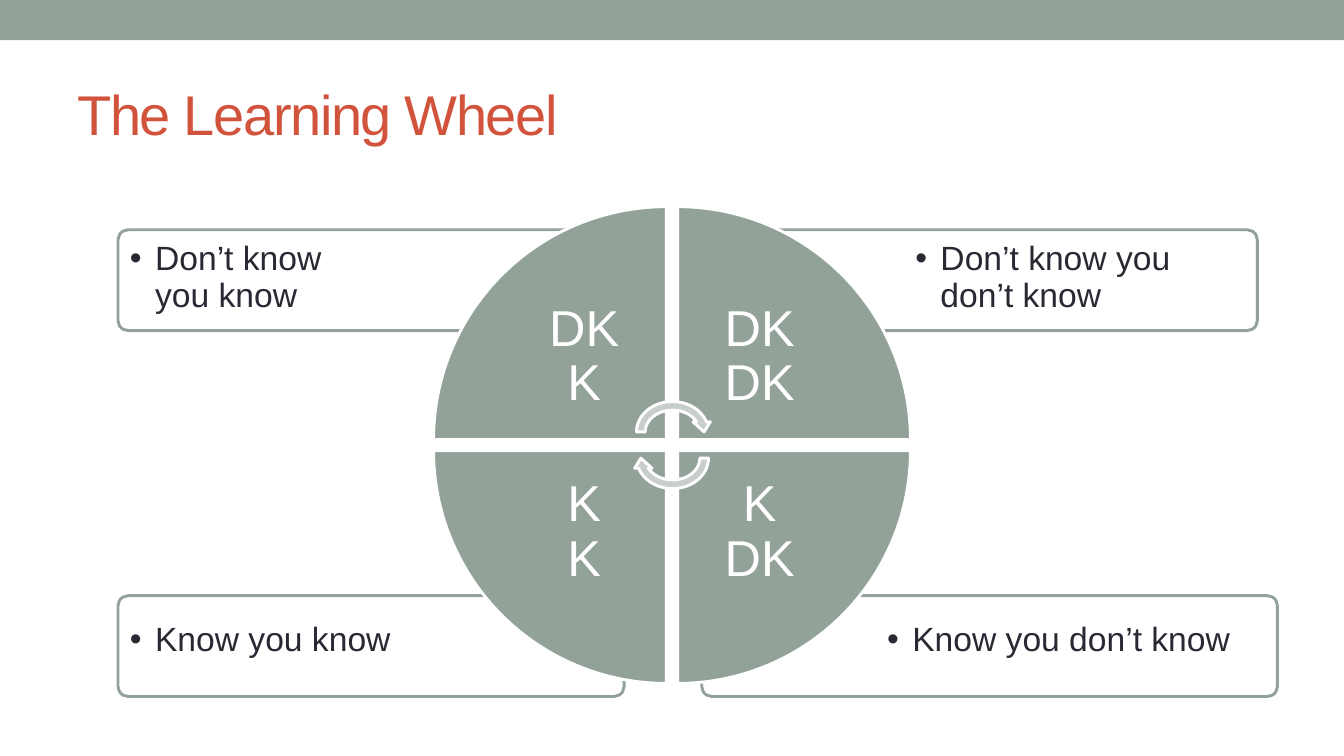
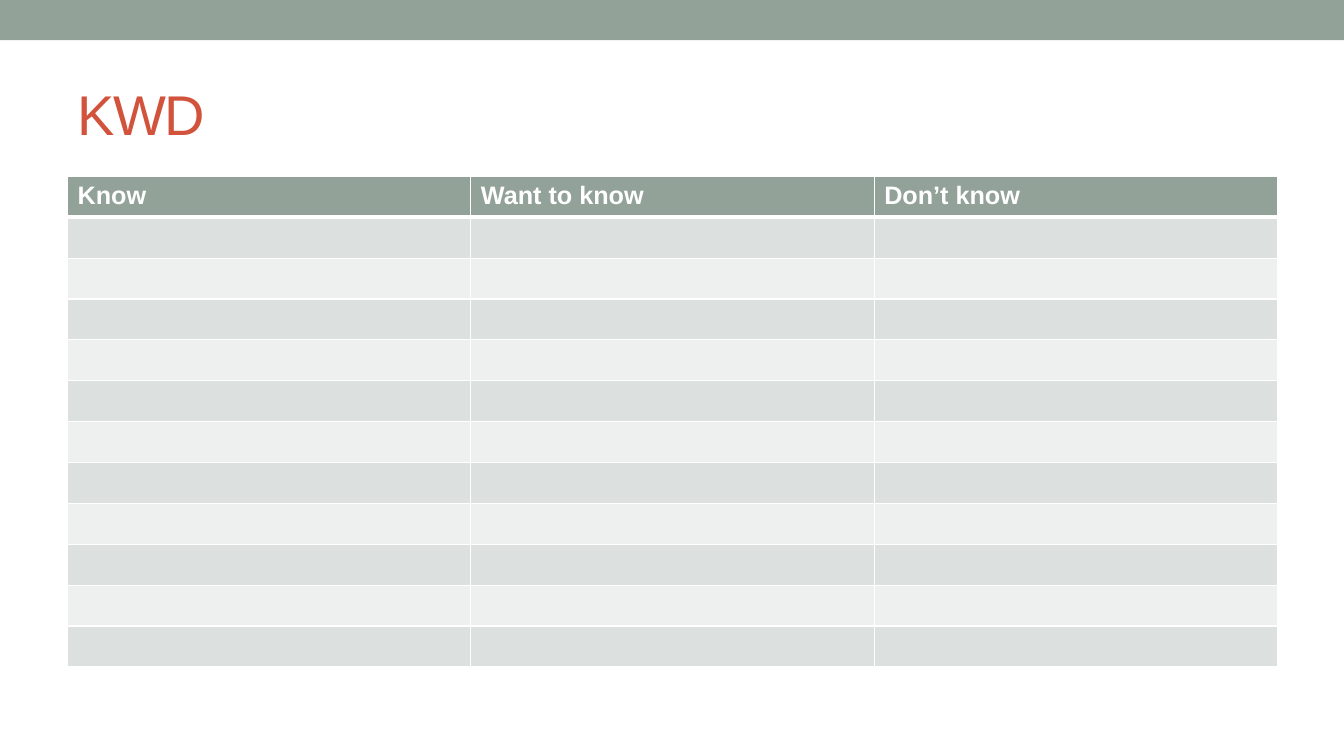
from dataclasses import dataclass

from lxml import etree
from pptx import Presentation
from pptx.dml.color import RGBColor
from pptx.enum.shapes import MSO_SHAPE
from pptx.enum.text import MSO_ANCHOR, PP_ALIGN
from pptx.oxml.ns import qn
from pptx.shapes.autoshape import Shape
from pptx.slide import Slide
from pptx.table import _Cell
from pptx.text.text import _Paragraph
from pptx.util import Inches, Pt

RECTANGLE = MSO_SHAPE.RECTANGLE
ROUNDED = MSO_SHAPE.ROUNDED_RECTANGLE
WEDGE = MSO_SHAPE.PIE_WEDGE
CIRCULAR_ARROW = MSO_SHAPE.CIRCULAR_ARROW
TOP, MIDDLE = MSO_ANCHOR.TOP, MSO_ANCHOR.MIDDLE
CENTER = PP_ALIGN.CENTER


@dataclass(frozen=True)
class Theme:
    font: str = "Arial"
    sage: str = "93A299"
    pale_sage: str = "C8CECA"
    title: str = "D2533C"
    ink: str = "292934"
    white: str = "FFFFFF"
    row_bands: tuple[str, str] = ("DCE0DE", "EEF0EF")
    title_size: int = 40
    wedge_size: int = 36
    label_size: int = 24
    header_size: int = 18
    outline: float = 2.08
    grid: int = 1
    header_rule: int = 3


@dataclass(frozen=True)
class Box:
    left: float
    top: float
    width: float
    height: float

    def lengths(self) -> tuple[int, ...]:
        return tuple(Inches(v) for v in (self.left, self.top, self.width, self.height))


@dataclass(frozen=True)
class Quadrant:
    """One quarter of the wheel; col and row count from the top left."""
    col: int
    row: int
    rotation: int
    code: str
    meaning: str
    panel: Box
    label_width: float


THEME = Theme()
SLIDE_WIDTH, SLIDE_HEIGHT = 13.33, 7.5
BAND = Box(0, 0, SLIDE_WIDTH, 0.4)
TITLE = Box(0.67, 0.58, 12, 1.08)

WHEEL_LEFT, WHEEL_TOP = 4.3, 2.05
WEDGE_SIDE, WEDGE_STEP, CODE_SIDE = 2.31, 2.42, 1.63
UPPER, LOWER, PANEL_HEIGHT = 2.28, 5.91, 1
QUADRANTS = (
    Quadrant(0, 0, 0, "DK\nK", "Don’t know\nyou know",
             Box(1.17, UPPER, 5.02, PANEL_HEIGHT), 3.47),
    Quadrant(1, 0, 90, "DK\nDK", "Don’t know you don’t know",
             Box(7.45, UPPER, 5.02, PANEL_HEIGHT), 3.47),
    Quadrant(1, 1, 180, "K\nDK", "Know you don’t know",
             Box(6.96, LOWER, 5.71, PANEL_HEIGHT), 3.95),
    Quadrant(0, 1, 270, "K\nK", "Know you know",
             Box(1.17, LOWER, 5.02, PANEL_HEIGHT), 3.47),
)
TURN_ARROWS = ((Box(6.27, 3.94, 0.8, 0.69), 0), (Box(6.27, 4.2, 0.8, 0.69), 180))

KWD_HEADERS = ("Know", "Want to know", "Don’t know")
KWD_ROWS = 12
KWD_TABLE = Box(0.67, 1.75, 12, 4.87)


def rgb(color: str) -> RGBColor:
    return RGBColor.from_string(color)


def add_text(paragraph: _Paragraph, text: str, size: int, color: str,
             bold: bool = False, tracking: float = 0) -> None:
    """Add one run per line of text; tracking is in points."""
    for number, line in enumerate(text.split("\n")):
        if number:
            paragraph.add_line_break()
        run = paragraph.add_run()
        run.text = line
        font = run.font
        font.name, font.size, font.bold = THEME.font, Pt(size), bold
        font.color.rgb = rgb(color)
        if tracking:
            run._r.get_or_add_rPr().set("spc", str(round(tracking * 100)))


def add_text_box(slide: Slide, box: Box, anchor: MSO_ANCHOR,
                 insets: tuple[float, float, float, float]) -> _Paragraph:
    """Insets run left, top, right, bottom; returns the first paragraph."""
    frame = slide.shapes.add_textbox(*box.lengths()).text_frame
    frame.word_wrap = True
    frame.vertical_anchor = anchor
    (frame.margin_left, frame.margin_top,
     frame.margin_right, frame.margin_bottom) = (Inches(v) for v in insets)
    return frame.paragraphs[0]


def add_preset(slide: Slide, preset: MSO_SHAPE, box: Box, fill: str,
               line: str | None = None, rotation: int = 0) -> Shape:
    shape = slide.shapes.add_shape(preset, *box.lengths())
    shape.shadow.inherit = False
    shape.rotation = rotation
    shape.fill.solid()
    shape.fill.fore_color.rgb = rgb(fill)
    if line:
        shape.line.color.rgb = rgb(line)
        shape.line.width = Pt(THEME.outline)
    else:
        shape.line.fill.background()
    return shape


def set_bullet(paragraph: _Paragraph, indent: float) -> None:
    properties = paragraph._p.get_or_add_pPr()
    properties.set("marL", str(Inches(indent)))
    properties.set("indent", str(-Inches(indent)))
    etree.SubElement(properties, qn("a:buFont"), typeface=THEME.font)
    etree.SubElement(properties, qn("a:buChar"), char="•")


def set_opacity(shape: Shape, percent: int) -> None:
    color = shape._element.spPr.find(qn("a:solidFill")).find(qn("a:srgbClr"))
    etree.SubElement(color, qn("a:alpha"), val=str(percent * 1000))


def add_titled_slide(deck: Presentation, title: str) -> Slide:
    slide = deck.slides.add_slide(deck.slide_layouts[6])
    add_preset(slide, RECTANGLE, BAND, THEME.sage)
    paragraph = add_text_box(slide, TITLE, MIDDLE, (0.1, 0.05, 0.1, 0.05))
    add_text(paragraph, title, THEME.title_size, THEME.title, tracking=-1)
    return slide


def add_panel(slide: Slide, quadrant: Quadrant) -> None:
    """Draw the outlined panel with its label on the side away from the wheel."""
    panel, width, edge = quadrant.panel, quadrant.label_width, 0.02
    shape = add_preset(slide, ROUNDED, panel, THEME.white, THEME.sage)
    shape.adjustments[0] = 0.1
    set_opacity(shape, 90)
    left = panel.left + (panel.width - width - edge if quadrant.col else edge)
    top = panel.top + (0.27 if quadrant.row else edge)
    top_inset = 0 if quadrant.row else 0.1
    paragraph = add_text_box(slide, Box(left, top, width, 0.71), TOP,
                             (0.1, top_inset, 0.1, 0.1))
    paragraph.line_spacing = 0.9
    set_bullet(paragraph, 0.25)
    add_text(paragraph, quadrant.meaning, THEME.label_size, THEME.ink)


def add_wedge(slide: Slide, quadrant: Quadrant) -> None:
    """Draw the wedge with its code in the corner nearest the hub."""
    left = WHEEL_LEFT + quadrant.col * WEDGE_STEP
    top = WHEEL_TOP + quadrant.row * WEDGE_STEP
    add_preset(slide, WEDGE, Box(left, top, WEDGE_SIDE, WEDGE_SIDE),
               THEME.sage, THEME.white, quadrant.rotation)
    inward = WEDGE_SIDE - CODE_SIDE
    code_box = Box(left + (1 - quadrant.col) * inward,
                   top + (1 - quadrant.row) * inward, CODE_SIDE, CODE_SIDE)
    paragraph = add_text_box(slide, code_box, MIDDLE, (0.28,) * 4)
    paragraph.alignment = CENTER
    paragraph.line_spacing = 0.9
    add_text(paragraph, quadrant.code, THEME.wedge_size, THEME.white)


def style_cell(cell: _Cell, fill: str, top: int, bottom: int) -> None:
    """Set the fill and the white rules; top and bottom are widths in points."""
    properties = cell._tc.get_or_add_tcPr()
    widths = {"a:lnL": THEME.grid, "a:lnR": THEME.grid, "a:lnT": top, "a:lnB": bottom}
    for side, width in widths.items():
        rule = etree.SubElement(properties, qn(side), w=str(Pt(width)))
        solid = etree.SubElement(rule, qn("a:solidFill"))
        etree.SubElement(solid, qn("a:srgbClr"), val=THEME.white)
    cell.fill.solid()
    cell.fill.fore_color.rgb = rgb(fill)


def build_learning_wheel(deck: Presentation) -> None:
    slide = add_titled_slide(deck, "The Learning Wheel")
    for quadrant in reversed(QUADRANTS):
        add_panel(slide, quadrant)
    for quadrant in QUADRANTS:
        add_wedge(slide, quadrant)
    for box, rotation in TURN_ARROWS:
        add_preset(slide, CIRCULAR_ARROW, box, THEME.pale_sage, THEME.white, rotation)


def build_kwd(deck: Presentation) -> None:
    slide = add_titled_slide(deck, "KWD")
    table = slide.shapes.add_table(KWD_ROWS, len(KWD_HEADERS), *KWD_TABLE.lengths()).table
    table.horz_banding = False
    for row in range(KWD_ROWS):
        fill = THEME.row_bands[(row - 1) % 2] if row else THEME.sage
        top = THEME.header_rule if row == 1 else THEME.grid
        bottom = THEME.grid if row else THEME.header_rule
        for col in range(len(KWD_HEADERS)):
            style_cell(table.cell(row, col), fill, top, bottom)
    for col, header in enumerate(KWD_HEADERS):
        add_text(table.cell(0, col).text_frame.paragraphs[0], header,
                 THEME.header_size, THEME.white, bold=True)


def main() -> None:
    deck = Presentation()
    deck.slide_width, deck.slide_height = Inches(SLIDE_WIDTH), Inches(SLIDE_HEIGHT)
    build_learning_wheel(deck)
    build_kwd(deck)
    deck.save("out.pptx")


if __name__ == "__main__":
    main()
